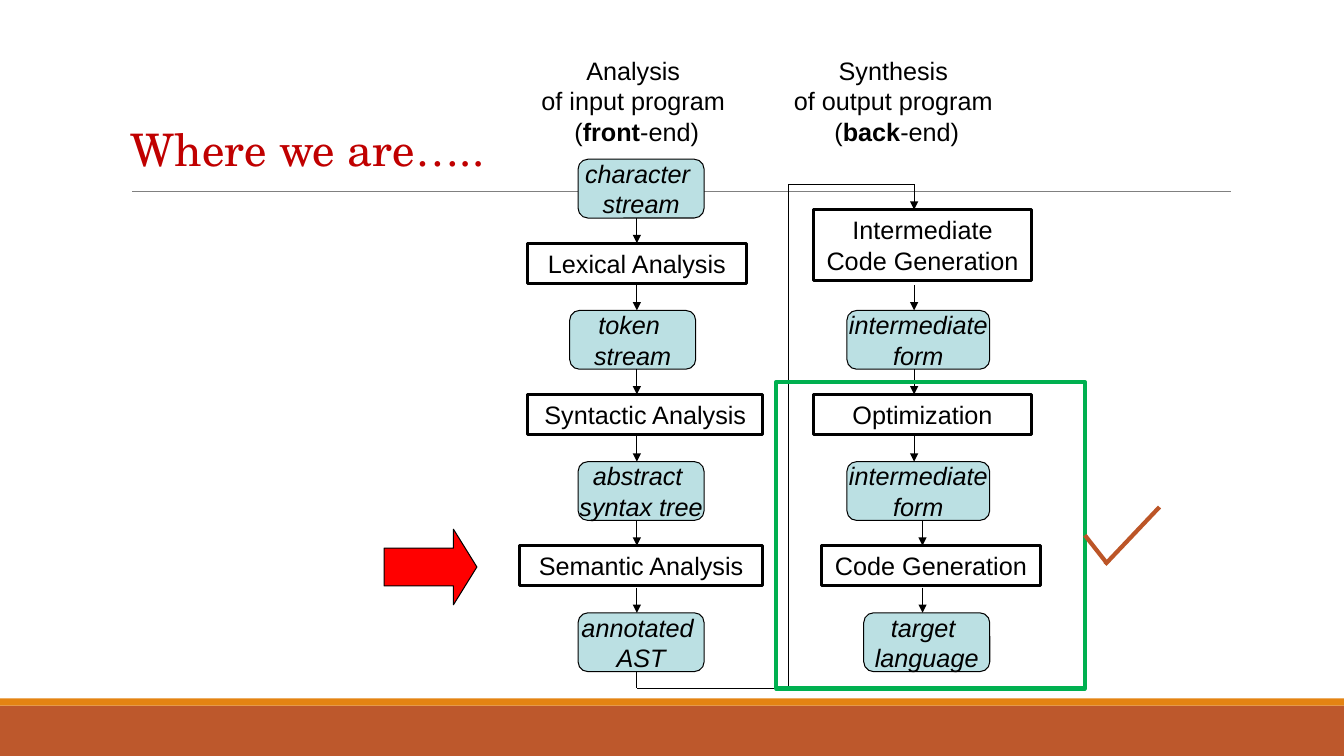
import pptx
import pptx.util
import pptx.dml.color
import pptx.enum.shapes
import pptx.enum.text
import pptx.oxml
import pptx.oxml.ns

SHAPE = pptx.enum.shapes.MSO_SHAPE
ANCHOR = pptx.enum.text.MSO_ANCHOR
ALIGN = pptx.enum.text.PP_ALIGN
inch = pptx.util.Inches


def rgb(value):
    return pptx.dml.color.RGBColor.from_string(value)


class Diagram:
    """Style, slide and the grid on which the compiler phases stand."""
    FONT, SIZE, BLACK, DATA = "Arial", 18, "000000", "BBE0E3"
    LEFT, TOP, UNIT = 5.15, 1.58, 1 / 12

    def __init__(self, prs):
        self.s = prs.slides.add_slide(prs.slide_layouts[6])

    def x(self, col):
        return self.LEFT + col * self.UNIT

    def y(self, row):
        return self.TOP + row * self.UNIT

    def text(self, sp, lines, size=SIZE, font=FONT, color=BLACK, italic=False,
             align=ALIGN.CENTER, anchor=ANCHOR.TOP, wrap=True):
        """Each line is a list of (text, bold) runs."""
        tf = sp.text_frame
        tf.word_wrap, tf.vertical_anchor = wrap, anchor
        for i, runs in enumerate(lines):
            p = tf.add_paragraph() if i else tf.paragraphs[0]
            p.alignment = align
            for words, bold in runs:
                r = p.add_run()
                r.text = words
                r.font.size, r.font.name = pptx.util.Pt(size), font
                r.font.bold, r.font.italic = bold, italic
                r.font.color.rgb = rgb(color)

    def textbox(self, left, top, width, height, lines, **style):
        sp = self.s.shapes.add_textbox(inch(left), inch(top), inch(width), inch(height))
        self.text(sp, lines, **style)

    def shape(self, kind, left, top, width, height, fill=None, line=None, weight=0.75):
        sp = self.s.shapes.add_shape(kind, inch(left), inch(top), inch(width), inch(height))
        sp.shadow.inherit = False
        if fill:
            sp.fill.solid()
            sp.fill.fore_color.rgb = rgb(fill)
        else:
            sp.fill.background()
        if line:
            sp.line.color.rgb = rgb(line)
            sp.line.width = pptx.util.Pt(weight)
        else:
            sp.line.fill.background()
        return sp

    def phase(self, name, col, row, cols=26, height=0.4):
        sp = self.shape(SHAPE.RECTANGLE, self.x(col), self.y(row), cols * self.UNIT,
                        height, line=self.BLACK, weight=2.25)
        self.text(sp, [[(name, False)]])
        return sp

    def data(self, lines, col, row, cols=15):
        sp = self.shape(SHAPE.ROUNDED_RECTANGLE, self.x(col), self.y(row),
                        cols * self.UNIT, 7 * self.UNIT, self.DATA, self.BLACK)
        self.text(sp, [[(words, False)] for words in lines], italic=True,
                  anchor=ANCHOR.MIDDLE, wrap=False)

    def line(self, x1, y1, x2, y2, color=BLACK, weight=0.75, arrow=False):
        c = self.s.shapes.add_connector(pptx.enum.shapes.MSO_CONNECTOR.STRAIGHT,
                                        inch(x1), inch(y1), inch(x2), inch(y2))
        c.line.color.rgb = rgb(color)
        c.line.width = pptx.util.Pt(weight)
        if arrow:
            tail = pptx.oxml.parse_xml(
                '<a:tailEnd %s type="triangle"/>' % pptx.oxml.ns.nsdecls("a"))
            c.line._get_or_add_ln().append(tail)
        c._element.spPr.append(
            pptx.oxml.parse_xml("<a:effectLst %s/>" % pptx.oxml.ns.nsdecls("a")))
        return c

    def arrow(self, col, row, rows=3):
        return self.line(self.x(col), self.y(row), self.x(col), self.y(row + rows), arrow=True)


def main():
    prs = pptx.Presentation()
    prs.slide_width, prs.slide_height = inch(13.33), inch(7.5)
    d = Diagram(prs)

    # Footer bands, rule and title
    d.shape(SHAPE.RECTANGLE, 0, 7, 13.33, 0.5, "BD582C")
    d.shape(SHAPE.RECTANGLE, 0, 6.93, 13.33, 0.07, "E48312")
    d.line(1.31, 1.9, 12.21, 1.9, "808080", 0.5)
    d.textbox(1.2, 0.85, 8.5, 1.25, [[("Where we are…..", False)]], size=32,
              font="TeX Gyre Schola", color="C00000", align=ALIGN.LEFT, anchor=ANCHOR.MIDDLE)

    # Column headings
    for left, width, role, flow, end in ((5.23, 2.17, "Analysis ", "of input program ", "front"),
                                         (7.73, 2.33, "Synthesis ", "of output program ", "back")):
        d.textbox(left, 0.5, width, 1, [[(role, False)], [(flow, False)],
                                        [("(", False), (end, True), ("-end)", False)]])

    # Phases
    lexical = d.phase("Lexical Analysis", 1, 10)
    d.phase("Syntactic Analysis", 1, 28, cols=28)
    d.phase("Semantic Analysis", 0, 46, cols=29)
    d.phase("Intermediate Code Generation", 35, 6, height=0.7)
    d.phase("Optimization", 35, 28)
    d.phase("Code Generation", 36, 46)

    # Data passed between phases
    d.data(("character ", "stream"), 7, 0)
    d.data(("token ", "stream"), 6, 18)
    d.data(("abstract ", "syntax tree"), 7, 36)
    d.data(("annotated ", "AST"), 7, 54)
    for row in (18, 36):
        d.data(("intermediate", "form"), 39, row, cols=17)
    d.data(("target ", "language"), 41, 54)

    # Arrows down each column
    d.arrow(14, 7).end_connect(lexical, 0)
    d.arrow(14, 15).begin_connect(lexical, 2)
    for col, rows in ((14, (25, 33, 43, 51)), (47, (3, 15, 25, 33)), (48, (43, 51))):
        for row in rows:
            d.arrow(col, row)

    # Path from the front end to the back end
    bends = ((14, 61), (14, 63), (32, 63), (32, 3), (47, 3))
    for (c1, r1), (c2, r2) in zip(bends, bends[1:]):
        d.line(d.x(c1), d.y(r1), d.x(c2), d.y(r2))

    # Current phase pointer
    pointer = d.shape(SHAPE.RIGHT_ARROW, 3.81, 5.25, 0.92, 0.75, "FF0000", d.BLACK)
    pointer.adjustments[1] = 0.31

    # Highlighted phases with a check mark
    frame = d.shape(SHAPE.RECTANGLE, 7.7, 3.79, 3.06, 3.04, line="00B050", weight=3)
    d.line(10.76, 5.31, 10.98, 5.59, "BC5527", 3).begin_connect(frame, 3)
    d.line(10.96, 5.6, 11.5, 5.03, "BC5527", 3)

    prs.save("out.pptx")


if __name__ == "__main__":
    main()
